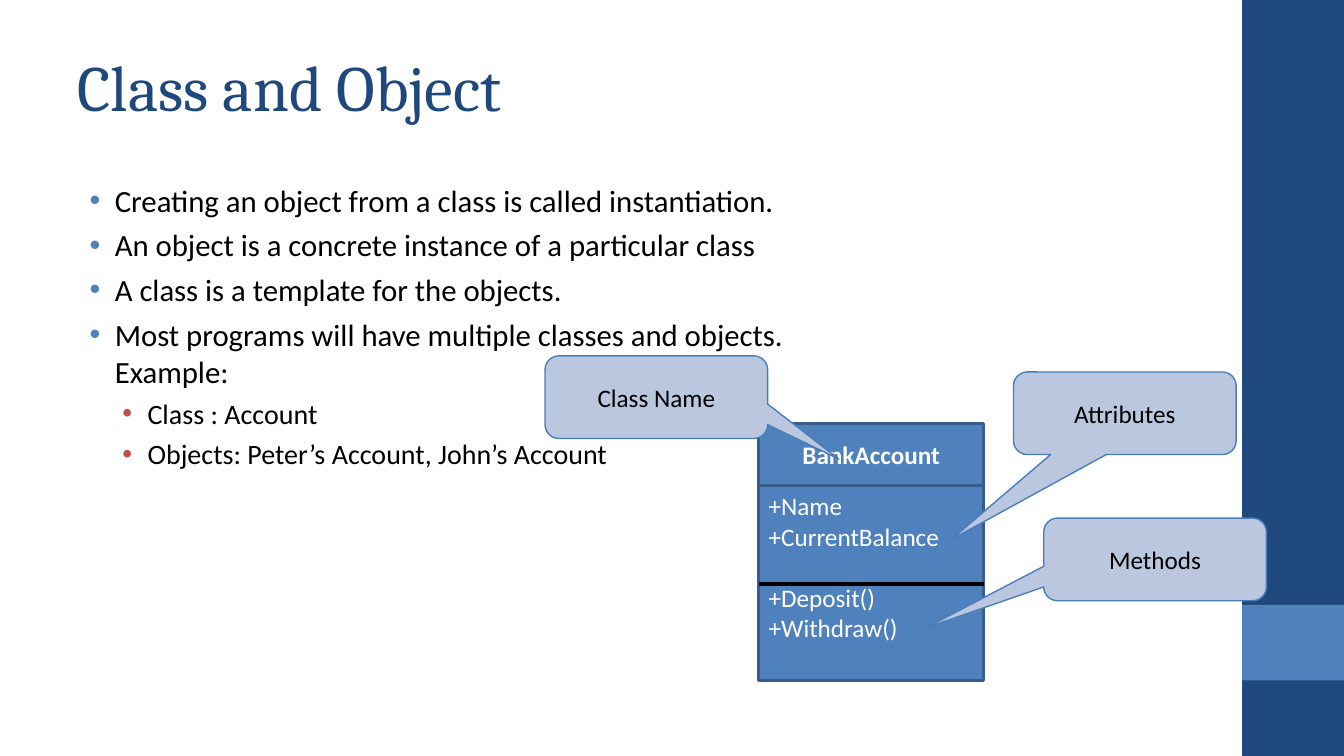
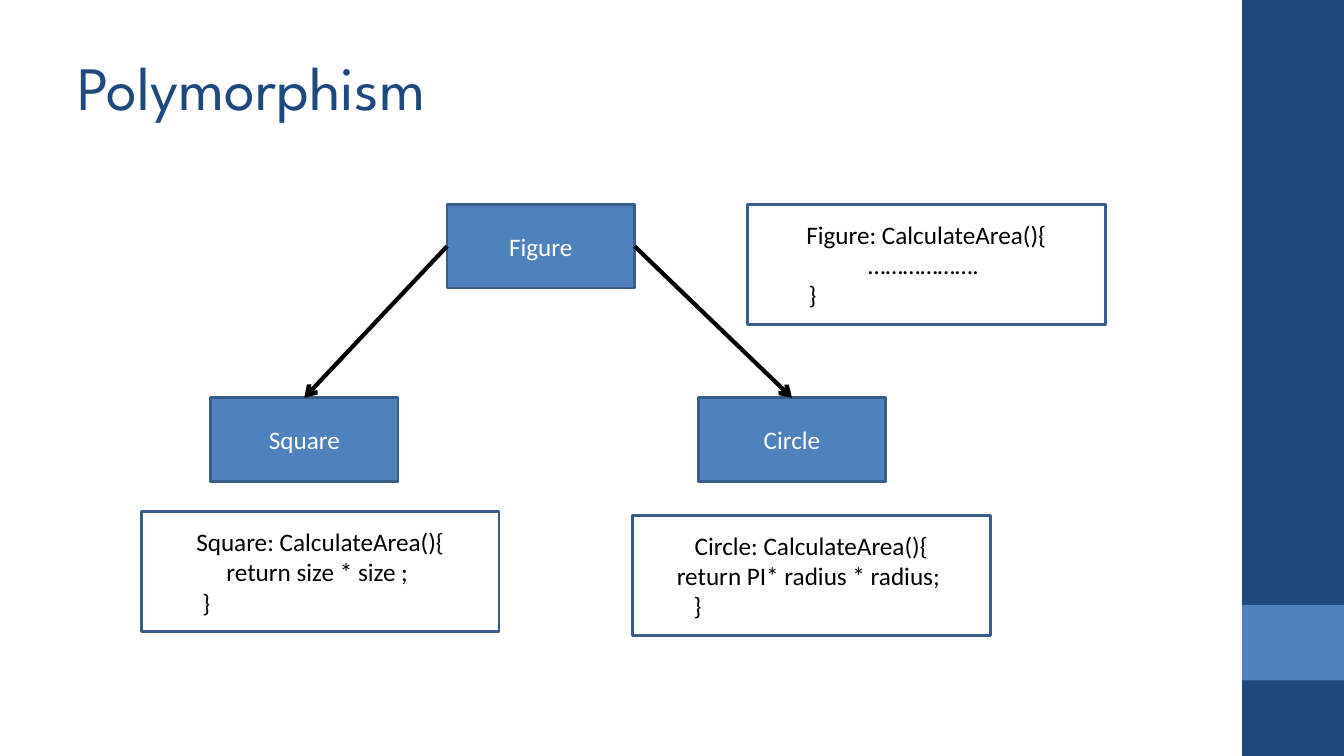
from pptx import Presentation
from pptx.dml.color import RGBColor
from pptx.enum.shapes import MSO_CONNECTOR, MSO_SHAPE
from pptx.enum.text import MSO_ANCHOR, MSO_AUTO_SIZE, PP_ALIGN
from pptx.oxml.ns import qn
from pptx.util import Pt
from lxml import etree

RECTANGLE = MSO_SHAPE.RECTANGLE
CALLOUT = MSO_SHAPE.ROUNDED_RECTANGULAR_CALLOUT
STRAIGHT = MSO_CONNECTOR.STRAIGHT
TOP, MIDDLE = MSO_ANCHOR.TOP, MSO_ANCHOR.MIDDLE
LEFT, CENTER = PP_ALIGN.LEFT, PP_ALIGN.CENTER
NO_AUTOFIT = MSO_AUTO_SIZE.NONE

COLORS = {
    "navy": "1F497D",
    "blue": "4F81BD",
    "outline": "385D8A",
    "callout": "BAC7DE",
    "callout_line": "4A7EBB",
    "red": "C0504D",
    "black": "000000",
    "white": "FFFFFF",
}
FONT = "Calibri"
SLIDE_WIDTH, SLIDE_HEIGHT = 960.48, 540
BAND_LEFT = 887.76
LINE_HEIGHT = 22
BRACE_INDENT = 36.6
CALLOUT_SIZE = (159.1, 59)
FIGURE_SIZE = (134, 59.8)
CODE_SIZE = (255.6, 85.7)
BULLET_LEVELS = [
    {"size": 22, "margin": 27, "before": 5.5, "bullet": "blue"},
    {"size": 20, "margin": 50.4, "before": 5, "bullet": "red"},
]
BULLET_HANG = 18


def color(name):
    return RGBColor.from_string(COLORS[name])


def add_run(paragraph, text, size=18, ink="black", font=FONT, bold=False):
    run = paragraph.add_run()
    run.text = text
    run.font.size = Pt(size)
    run.font.name = font
    run.font.bold = bold
    run.font.color.rgb = color(ink)


def next_paragraph(frame, index):
    return frame.paragraphs[0] if index == 0 else frame.add_paragraph()


def add_block(slide, kind, position, size, fill=None, line=None, width=2):
    shape = slide.shapes.add_shape(kind, *map(Pt, position + size))
    shape.shadow.inherit = False
    if fill:
        shape.fill.solid()
        shape.fill.fore_color.rgb = color(fill)
    else:
        shape.fill.background()
    if line:
        shape.line.color.rgb = color(line)
        shape.line.width = Pt(width)
    else:
        shape.line.fill.background()
    return shape


def write_lines(shape, lines, ink, align=CENTER, anchor=MIDDLE, bold=False):
    frame = shape.text_frame
    frame.word_wrap = True
    frame.vertical_anchor = anchor
    for index, text in enumerate(lines):
        paragraph = next_paragraph(frame, index)
        paragraph.alignment = align
        add_run(paragraph, text, ink=ink, bold=bold)
    return frame


def add_titled_slide(presentation, text, font, size):
    slide = presentation.slides.add_slide(presentation.slide_layouts[5])
    band_width = SLIDE_WIDTH - BAND_LEFT
    add_block(slide, RECTANGLE, (BAND_LEFT, 0), (band_width, SLIDE_HEIGHT), "navy")
    add_block(slide, RECTANGLE, (BAND_LEFT, 432), (band_width, 54), "blue")
    title = slide.shapes.title
    title.left, title.top, title.width, title.height = map(Pt, (48, 21.6, 800, 80))
    frame = title.text_frame
    frame.auto_size = NO_AUTOFIT
    frame.vertical_anchor = MIDDLE
    frame.paragraphs[0].alignment = LEFT
    add_run(frame.paragraphs[0], text, size, "navy", font)
    return slide


def add_bullet(paragraph, style):
    properties = paragraph._p.get_or_add_pPr()
    properties.set("marL", str(Pt(style["margin"])))
    properties.set("indent", str(-Pt(BULLET_HANG)))
    bullet_color = etree.SubElement(properties, qn("a:buClr"))
    etree.SubElement(bullet_color, qn("a:srgbClr"), val=COLORS[style["bullet"]])
    etree.SubElement(properties, qn("a:buFont"), typeface="Arial")
    etree.SubElement(properties, qn("a:buChar"), char="•")


def add_bullet_list(slide, position, size, items):
    frame = slide.shapes.add_textbox(*map(Pt, position + size)).text_frame
    frame.word_wrap = True
    for index, (level, lines) in enumerate(items):
        style = BULLET_LEVELS[level]
        paragraph = next_paragraph(frame, index)
        paragraph.level = level
        add_bullet(paragraph, style)
        if index:
            paragraph.space_before = Pt(style["before"])
        for line_index, text in enumerate(lines):
            if line_index:
                paragraph.add_line_break()
            add_run(paragraph, text, style["size"])


def add_line(slide, start, end):
    line = slide.shapes.add_connector(STRAIGHT, *map(Pt, start + end))
    line.line.color.rgb = color("black")
    line.line.width = Pt(3)
    etree.SubElement(line._element.spPr, qn("a:effectLst"))
    return line


def add_arrow(slide, source, side, target):
    arrow = add_line(slide, (0, 0), (0, 0))
    arrow.begin_connect(source, side)
    arrow.end_connect(target, 0)
    etree.SubElement(arrow.line._get_or_add_ln(), qn("a:tailEnd"), type="arrow")


def add_callout(slide, position, text, tip):
    shape = add_block(slide, CALLOUT, position, CALLOUT_SIZE, "callout", "callout_line", 1)
    shape.adjustments[0], shape.adjustments[1] = tip
    write_lines(shape, [text], "black")


def add_class_diagram(slide, left, top, width, name, attributes, methods):
    header_height, members_height, divider_offset = 44.6, 139, 114.5
    header = add_block(slide, RECTANGLE, (left, top), (width, header_height), "blue", "outline")
    write_lines(header, [name], "white", bold=True)
    members = add_block(slide, RECTANGLE, (left, top + header_height),
                        (width, members_height), "blue", "outline")
    frame = write_lines(members, attributes + methods, "white", LEFT, TOP)
    frame.paragraphs[len(attributes)].space_before = Pt(LINE_HEIGHT)
    divider = top + divider_offset
    add_line(slide, (left, divider), (left + width, divider))


def add_figure(slide, position, name):
    shape = add_block(slide, RECTANGLE, position, FIGURE_SIZE, "blue", "outline")
    write_lines(shape, [name], "white")
    return shape


def add_code(slide, position, name, body):
    shape = add_block(slide, RECTANGLE, position, CODE_SIZE, line="outline")
    frame = write_lines(shape, [f"{name}: CalculateArea(){{", body, "}"], "black")
    brace = frame.paragraphs[-1]
    brace.alignment = LEFT
    brace._p.get_or_add_pPr().set("marL", str(Pt(BRACE_INDENT)))


def build_class_slide(presentation):
    slide = add_titled_slide(presentation, "Class and Object", "Cambria", 46)
    add_bullet_list(slide, (48, 126), (800, 378), [
        (0, ["Creating an object from a class is called instantiation."]),
        (0, ["An object is a concrete instance of a particular class"]),
        (0, ["A class is a template for the objects."]),
        (0, ["Most programs will have multiple classes and objects. ", "Example:"]),
        (1, ["Class : Account"]),
        (1, ["Objects: Peter’s Account, John’s Account"]),
    ])
    add_class_diagram(slide, 542.2, 302.4, 160.8, "BankAccount",
                      ["+Name", "+CurrentBalance"], ["+Deposit()", "+Withdraw()"])
    for position, text, tip in [
        ((389.5, 254.2), "Class Name", (0.82, 0.75)),
        ((724.3, 265.7), "Attributes", (-0.78, 1.53)),
        ((745.9, 370.1), "Methods", (-1.03, 0.83)),
    ]:
        add_callout(slide, position, text, tip)


def build_polymorphism_slide(presentation):
    slide = add_titled_slide(presentation, "Polymorphism", "League Spartan", 44)
    figure = add_figure(slide, (319.5, 146), "Figure")
    circle = add_figure(slide, (499, 284.2), "Circle")
    square = add_figure(slide, (150.5, 284.2), "Square")
    add_arrow(slide, figure, 1, square)
    add_arrow(slide, figure, 3, circle)
    for position, name, body in [
        ((101, 365.6), "Square", "return size * size ; "),
        ((452, 368.2), "Circle", "return PI* radius * radius; "),
        ((534.2, 146), "Figure", "………………. "),
    ]:
        add_code(slide, position, name, body)


def main():
    presentation = Presentation()
    presentation.slide_width = Pt(SLIDE_WIDTH)
    presentation.slide_height = Pt(SLIDE_HEIGHT)
    build_class_slide(presentation)
    build_polymorphism_slide(presentation)
    presentation.save("out.pptx")


if __name__ == "__main__":
    main()
